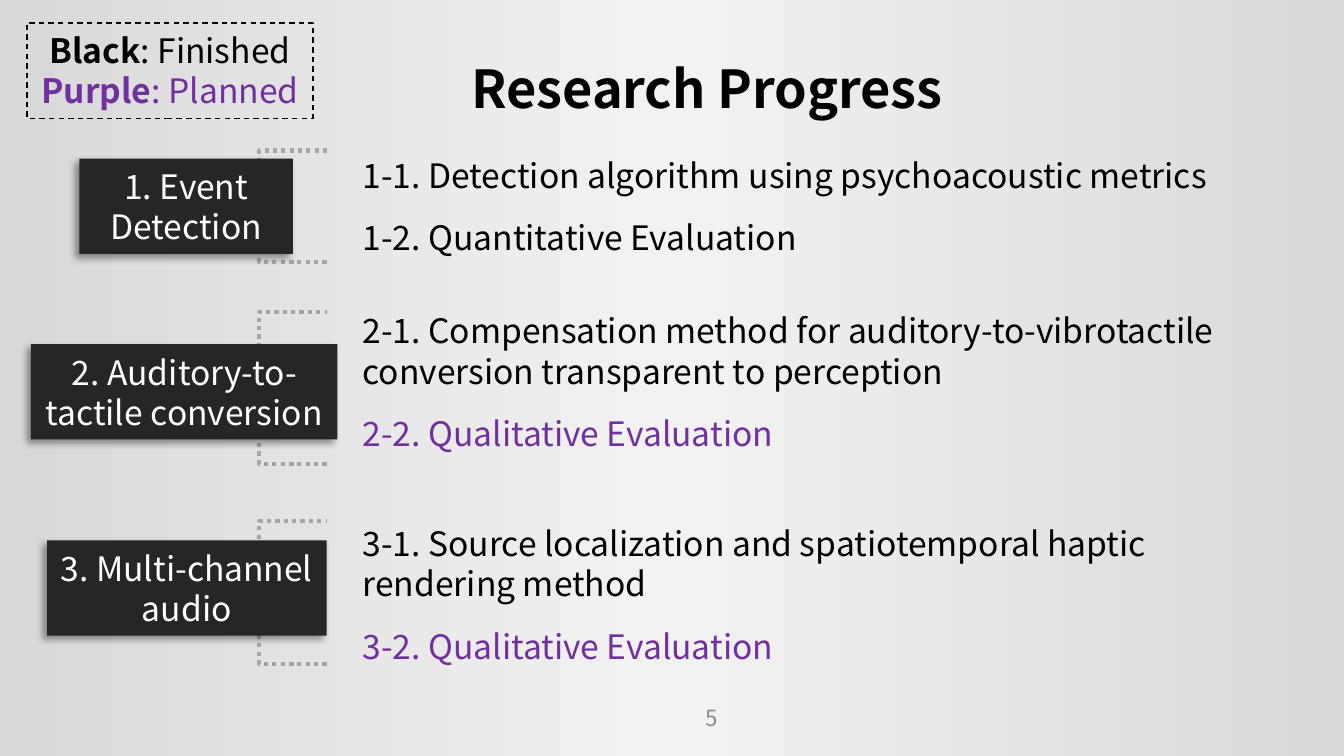
from copy import deepcopy

from lxml import etree
from pptx import Presentation
from pptx.dml.color import RGBColor
from pptx.enum.dml import MSO_LINE
from pptx.enum.shapes import MSO_SHAPE
from pptx.enum.text import MSO_ANCHOR, PP_ALIGN
from pptx.oxml.ns import qn
from pptx.util import Inches, Pt

RECTANGLE, BRACKET = MSO_SHAPE.RECTANGLE, MSO_SHAPE.LEFT_BRACKET
DASH, DOTS = MSO_LINE.DASH, MSO_LINE.ROUND_DOT
LEFT, CENTER = PP_ALIGN.LEFT, PP_ALIGN.CENTER
TOP, MIDDLE = MSO_ANCHOR.TOP, MSO_ANCHOR.MIDDLE
FONT = "Noto Sans CJK KR"
BLACK, PURPLE, WHITE, GRAY = "000000", "7030A0", "FFFFFF", "8C8C8C"


def rgb(color):
    return RGBColor.from_string(color)


def write(box, paragraphs, size=18, align=CENTER, anchor=TOP, gap=0):
    """Fill a box with paragraphs, each a list of (text, color, bold) runs."""
    frame = box.text_frame
    frame.word_wrap = True
    frame.vertical_anchor = anchor
    for index, runs in enumerate(paragraphs):
        paragraph = frame.add_paragraph() if index else frame.paragraphs[0]
        paragraph.alignment = align
        if index:
            paragraph.space_before = Pt(gap)
        for text, color, bold in runs:
            run = paragraph.add_run()
            run.text = text
            run.font.name = FONT
            run.font.size = Pt(size)
            run.font.bold = bold
            run.font.color.rgb = rgb(color)


prs = Presentation()
prs.slide_width, prs.slide_height = Inches(10), Inches(10 * 9 / 16)
slide = prs.slides.add_slide(prs.slide_layouts[6])
shapes = slide.shapes

# Background: light band in the middle, darker at both sides
background = slide.background.fill
background.gradient()
background.gradient_angle = 0
stop_list = slide.element.find(".//" + qn("a:gsLst"))
stop_list.insert(1, deepcopy(stop_list[0]))
for stop, position, color in zip(background.gradient_stops, (0, 0.5, 1), ("D9D9D9", "F2F2F2", "D9D9D9")):
    stop.position = position
    stop.color.rgb = rgb(color)

page_number = shapes.add_textbox(Inches(4.13), Inches(5.19), Inches(2.33), Inches(0.3))
write(page_number, [[("5", GRAY, False)]], size=12, anchor=MIDDLE)

title = shapes.add_textbox(Inches(2.6), Inches(0.37), Inches(5.32), Inches(0.57))
write(title, [[("Research Progress", BLACK, True)]], size=28)

legend = shapes.add_shape(RECTANGLE, Inches(0.2), Inches(0.17), Inches(2.13), Inches(0.71))
legend.shadow.inherit = False
legend.fill.background()
legend.line.color.rgb = rgb(BLACK)
legend.line.width = Pt(0.75)
legend.line.dash_style = DASH
write(legend, [
    [("Black", BLACK, True), (": Finished", BLACK, False)],
    [("Purple", PURPLE, True), (": Planned", PURPLE, False)],
])

# Topic, (left, top, width), bracket (top, height), steps (top, height), steps with colors
topics = [
    ("1. Event Detection", (0.59, 1.18, 1.59), (1.12, 0.83), (1.1, 0.89),
     [("1-1. Detection algorithm using psychoacoustic metrics", BLACK),
      ("1-2. Quantitative Evaluation", BLACK)]),
    ("2. Auditory-to-tactile conversion", (0.23, 2.56, 2.28), (2.32, 1.13), (2.26, 1.19),
     [("2-1. Compensation method for auditory-to-vibrotactile conversion transparent to perception", BLACK),
      ("2-2. Qualitative Evaluation", PURPLE)]),
    ("3. Multi-channel audio", (0.35, 4.02, 2.08), (3.88, 1.06), (3.84, 1.18),
     [("3-1. Source localization and spatiotemporal haptic rendering method", BLACK),
      ("3-2. Qualitative Evaluation", PURPLE)]),
]
for topic, (left, top, width), (bracket_top, bracket_height), (steps_top, steps_height), steps in topics:
    bracket = shapes.add_shape(BRACKET, Inches(1.93), Inches(bracket_top), Inches(0.5), Inches(bracket_height))
    bracket.adjustments[0] = 0
    bracket.shadow.inherit = False
    bracket.fill.background()
    bracket.line.color.rgb = rgb("A6A6A6")
    bracket.line.width = Pt(2.25)
    bracket.line.dash_style = DOTS

    label = shapes.add_shape(RECTANGLE, Inches(left), Inches(top), Inches(width), Inches(0.71))
    label.fill.solid()
    label.fill.fore_color.rgb = rgb("262626")
    label.line.fill.background()
    label.shadow.inherit = False
    effects = label.element.spPr.find(qn("a:effectLst"))
    shadow = etree.SubElement(effects, qn("a:outerShdw"), blurRad=str(Pt(4)), dist=str(Pt(3)),
                              dir="8100000", algn="tr", rotWithShape="0")
    shadow_color = etree.SubElement(shadow, qn("a:srgbClr"), val=BLACK)
    etree.SubElement(shadow_color, qn("a:alpha"), val="40000")
    write(label, [[(topic, WHITE, False)]], anchor=MIDDLE)

    step_list = shapes.add_textbox(Inches(2.6), Inches(steps_top), Inches(6.54), Inches(steps_height))
    write(step_list, [[(step, color, False)] for step, color in steps], align=LEFT, gap=12)

prs.save("out.pptx")
